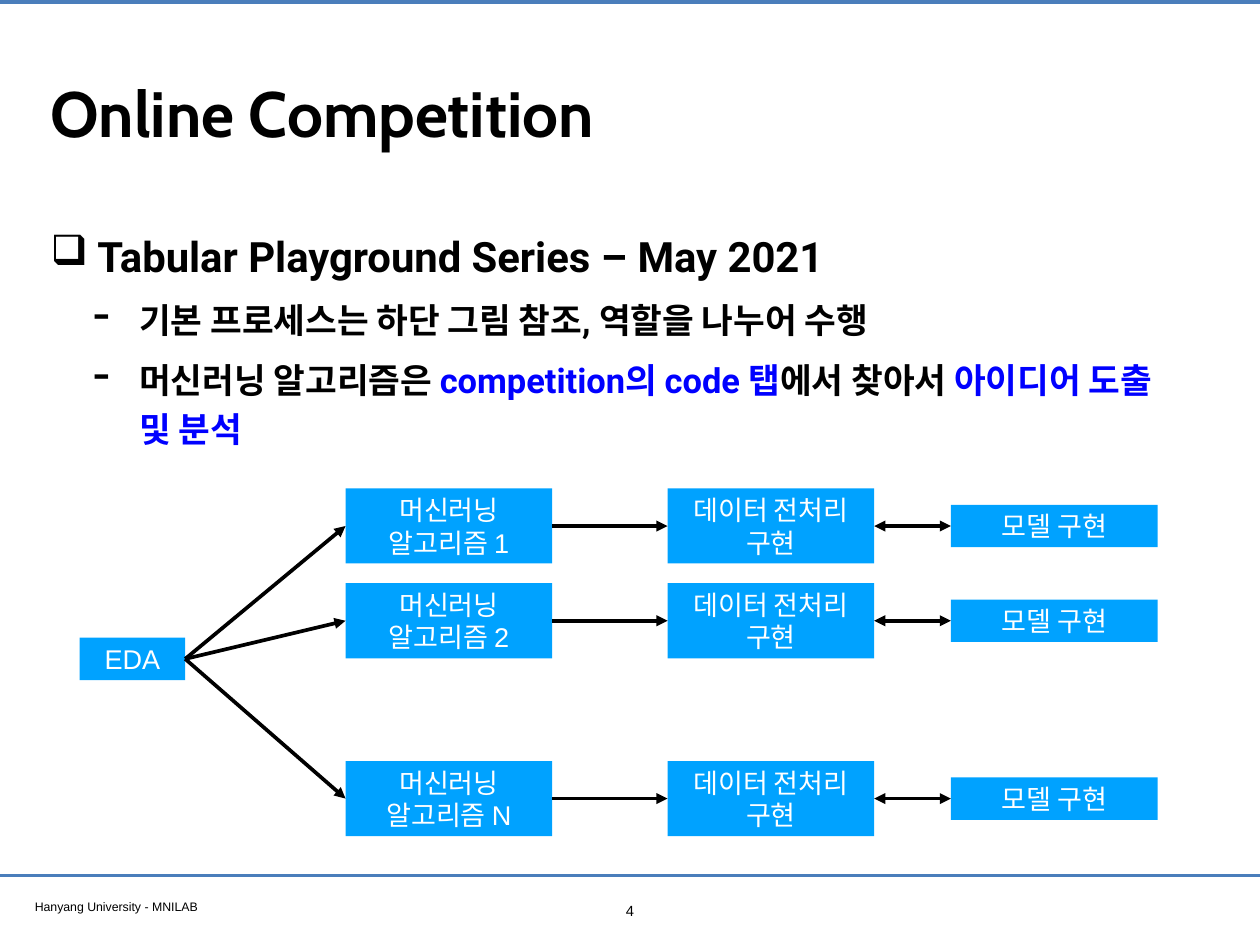
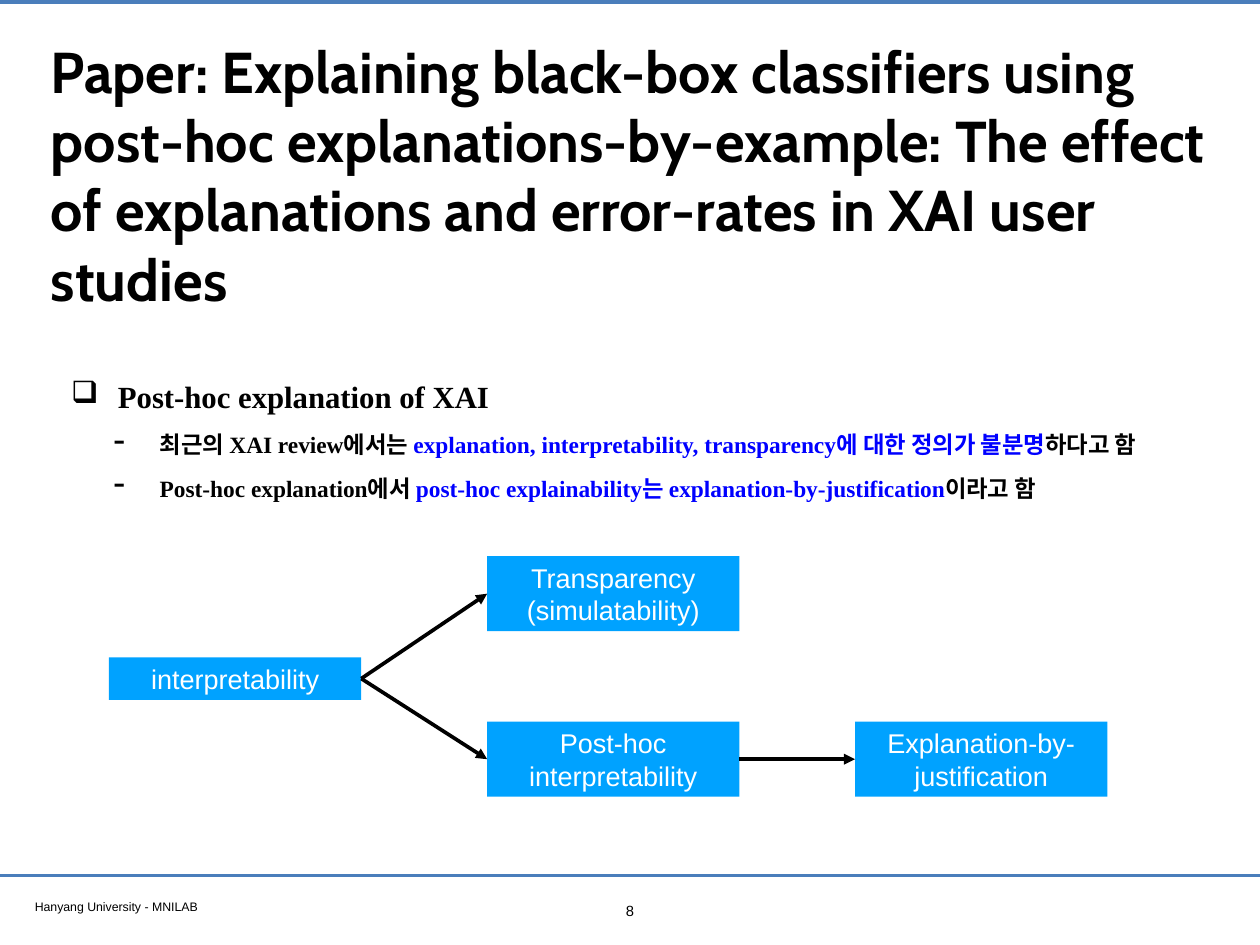
from lxml import etree
from pptx import Presentation
from pptx.dml.color import RGBColor
from pptx.enum.shapes import MSO_CONNECTOR, MSO_SHAPE
from pptx.enum.text import MSO_ANCHOR, MSO_AUTO_SIZE, PP_ALIGN
from pptx.oxml.ns import qn
from pptx.util import Pt

STRAIGHT = MSO_CONNECTOR.STRAIGHT
RECTANGLE = MSO_SHAPE.RECTANGLE
TOP, MIDDLE = MSO_ANCHOR.TOP, MSO_ANCHOR.MIDDLE
LEFT, CENTER = PP_ALIGN.LEFT, PP_ALIGN.CENTER
NO_FIT = MSO_AUTO_SIZE.NONE
LEFT_SIDE, RIGHT_SIDE = 1, 3

BLACK = RGBColor(0x00, 0x00, 0x00)
WHITE = RGBColor(0xFF, 0xFF, 0xFF)
RULE_BLUE = RGBColor(0x4A, 0x7E, 0xBB)
BOX_BLUE = RGBColor(0x00, 0xA2, 0xFF)
ACCENT_BLUE = RGBColor(0x00, 0x00, 0xFF)

TITLE_FONT, LABEL_FONT = "Cabin", "Arial"
PAGE_WIDTH, PAGE_HEIGHT = 1024, 768
INSET = 4.5
ONE_LINE, TWO_LINES = 34.5, 61


def style_font(font, name, size, color=BLACK, bold=False):
    """Set the face, size, colour and weight of a font."""
    font.name, font.size, font.bold = name, Pt(size), bold
    font.color.rgb = color


def prepare_frame(frame, anchor=TOP):
    """Give a text frame the common insets, wrapping and anchor."""
    frame.word_wrap = True
    frame.auto_size = NO_FIT
    frame.vertical_anchor = anchor
    frame.margin_left = frame.margin_right = Pt(INSET)
    frame.margin_top = frame.margin_bottom = Pt(INSET)


def fill_frame(frame, text, name, size, color=BLACK, bold=False, align=LEFT):
    """Write text in one style, one paragraph per line."""
    frame.text = text
    for para in frame.paragraphs:
        para.alignment = align
        style_font(para.font, name, size, color, bold)


def add_label(page, left, top, width, height, text, size, align=LEFT):
    """Place a small plain text box."""
    box = page.shapes.add_textbox(Pt(left), Pt(top), Pt(width), Pt(height))
    prepare_frame(box.text_frame)
    fill_frame(box.text_frame, text, LABEL_FONT, size, align=align)


def add_line(page, start, end, color, weight):
    """Draw a straight line without a shadow."""
    points = [Pt(value) for value in (*start, *end)]
    line = page.shapes.add_connector(STRAIGHT, *points)
    line.line.color.rgb = color
    line.line.width = Pt(weight)
    etree.SubElement(line._element.spPr, qn("a:effectLst"))
    return line


def add_page(deck, title, title_size, title_height, number):
    """Add a page with its title, rules and footer."""
    page = deck.slides.add_slide(deck.slide_layouts[5])
    holder = page.shapes.title
    holder.left, holder.top = Pt(36.7), Pt(20)
    holder.width, holder.height = Pt(951), Pt(title_height)
    prepare_frame(holder.text_frame, MIDDLE)
    fill_frame(holder.text_frame, title, TITLE_FONT, title_size, bold=True)
    for height, weight in ((1.5, 3.2), (711.5, 2)):
        add_line(page, (0, height), (PAGE_WIDTH, height), RULE_BLUE, weight)
    add_label(page, 23.8, 726.5, 393, 18.7, "Hanyang University - MNILAB", 10)
    add_label(page, 498, 728.6, 28, 22.3, number, 12, CENTER)
    return page


def add_bullet(para, symbol, indent, hanging, scale=None):
    """Give a paragraph a bullet with a hanging indent."""
    properties = para._p.get_or_add_pPr()
    properties.set("marL", str(Pt(indent)))
    properties.set("indent", str(-Pt(hanging)))
    if scale:
        etree.SubElement(properties, qn("a:buSzPct"), val=str(scale * 1000))
    etree.SubElement(properties, qn("a:buChar"), char=symbol)


def add_outline(page, left, top, width, height, name, heading, items, sizes):
    """Place a heading and dashed items made of (text, accented) spans."""
    box = page.shapes.add_textbox(Pt(left), Pt(top), Pt(width), Pt(height))
    frame = box.text_frame
    prepare_frame(frame)
    for index, spans in enumerate([[(heading, False)], *items]):
        para = frame.add_paragraph() if index else frame.paragraphs[0]
        para.line_spacing = 1.2
        if index:
            para.level = 1
            para.space_before = Pt(8)
            add_bullet(para, "-", 72, 37.5, 145)
        else:
            para.space_before = Pt(0)
            add_bullet(para, "❑", 38, 38)
        style_font(para.font, name, sizes[min(index, 1)], bold=True)
        for text, accented in spans:
            span = para.add_run()
            span.text = text
            if accented:
                span.font.color.rgb = ACCENT_BLUE


def add_box(page, left, middle, width, height, text):
    """Place a filled step box centred on a given height."""
    box = page.shapes.add_shape(RECTANGLE, Pt(left), Pt(middle - height / 2),
                                Pt(width), Pt(height))
    box.shadow.inherit = False
    box.fill.solid()
    box.fill.fore_color.rgb = BOX_BLUE
    box.line.fill.background()
    prepare_frame(box.text_frame, MIDDLE)
    fill_frame(box.text_frame, text, LABEL_FONT, 22, WHITE, align=CENTER)
    return box


def add_arrow(page, source, target, both_ways=False):
    """Join the right side of one box to the left side of another."""
    arrow = add_line(page, (0, 0), (0, 0), BLACK, 3)
    arrow.begin_connect(source, RIGHT_SIDE)
    arrow.end_connect(target, LEFT_SIDE)
    outline = arrow.line._get_or_add_ln()
    for end in ("a:headEnd", "a:tailEnd") if both_ways else ("a:tailEnd",):
        etree.SubElement(outline, qn(end), type="triangle")


def add_process(page, left, top):
    """Draw the analysis step that branches into one row per algorithm."""
    width = 168
    analysis = add_box(page, left, top + 138.5, 85.7, ONE_LINE, "EDA")
    for offset, name in ((30.5, "1"), (107.5, "2"), (252, "N")):
        middle = top + offset
        algorithm = add_box(page, left + 216, middle, width, TWO_LINES,
                            f"머신러닝 알고리즘 {name}")
        cleaning = add_box(page, left + 477.7, middle, width, TWO_LINES,
                           "데이터 전처리\n구현")
        model = add_box(page, left + 708, middle, width, ONE_LINE, "모델 구현")
        add_arrow(page, analysis, algorithm)
        add_arrow(page, algorithm, cleaning)
        add_arrow(page, cleaning, model, both_ways=True)


def add_taxonomy(page, left, top):
    """Draw the kinds of interpretability as a tree."""
    width = 205
    root = add_box(page, left, top + 99.5, width, ONE_LINE, "interpretability")
    transparency = add_box(page, left + 307.3, top + 30.5, width, TWO_LINES,
                           "Transparency (simulatability)")
    post_hoc = add_box(page, left + 307.3, top + 165, width, TWO_LINES,
                       "Post-hoc interpretability")
    justification = add_box(page, left + 606.3, top + 165, width, TWO_LINES,
                            "Explanation-by-justification")
    add_arrow(page, root, transparency)
    add_arrow(page, root, post_hoc)
    add_arrow(page, post_hoc, justification)


def add_competition_page(deck):
    """Build the page on the competition."""
    page = add_page(deck, "Online Competition", 52, 142, "4")
    items = [
        [("기본 프로세스는 하단 그림 참조, 역할을 나누어 수행", False)],
        [("머신러닝 알고리즘은 ", False), ("competition의 code 탭", True),
         ("에서 찾아서 ", False), ("아이디어 도출 및 분석", True)],
    ]
    add_outline(page, 36.7, 175, 926, 215, "Roboto",
                "Tabular Playground Series – May 2021", items, (34, 28))
    add_process(page, 64.8, 397)


def add_paper_page(deck):
    """Build the page on the paper."""
    title = ("Paper: Explaining black-box classifiers using post-hoc "
             "explanations-by-example: The effect of explanations and "
             "error-rates in XAI user studies")
    page = add_page(deck, title, 46.8, 243.4, "8")
    items = [
        [("최근의 XAI review에서는 ", False),
         ("explanation, interpretability, transparency에 대한 정의가 불분명", True),
         ("하다고 함", False)],
        [("Post-hoc explanation에서 ", False),
         ("post-hoc explainability는 explanation-by-justification", True),
         ("이라고 함", False)],
    ]
    add_outline(page, 53.3, 296.6, 934.5, 135.4, "Times New Roman",
                "Post-hoc explanation of XAI", items, (25, 19))
    add_taxonomy(page, 88.6, 452)


def main():
    """Build and save the deck."""
    deck = Presentation()
    deck.slide_width, deck.slide_height = Pt(PAGE_WIDTH), Pt(PAGE_HEIGHT)
    add_competition_page(deck)
    add_paper_page(deck)
    deck.save("out.pptx")


if __name__ == "__main__":
    main()
